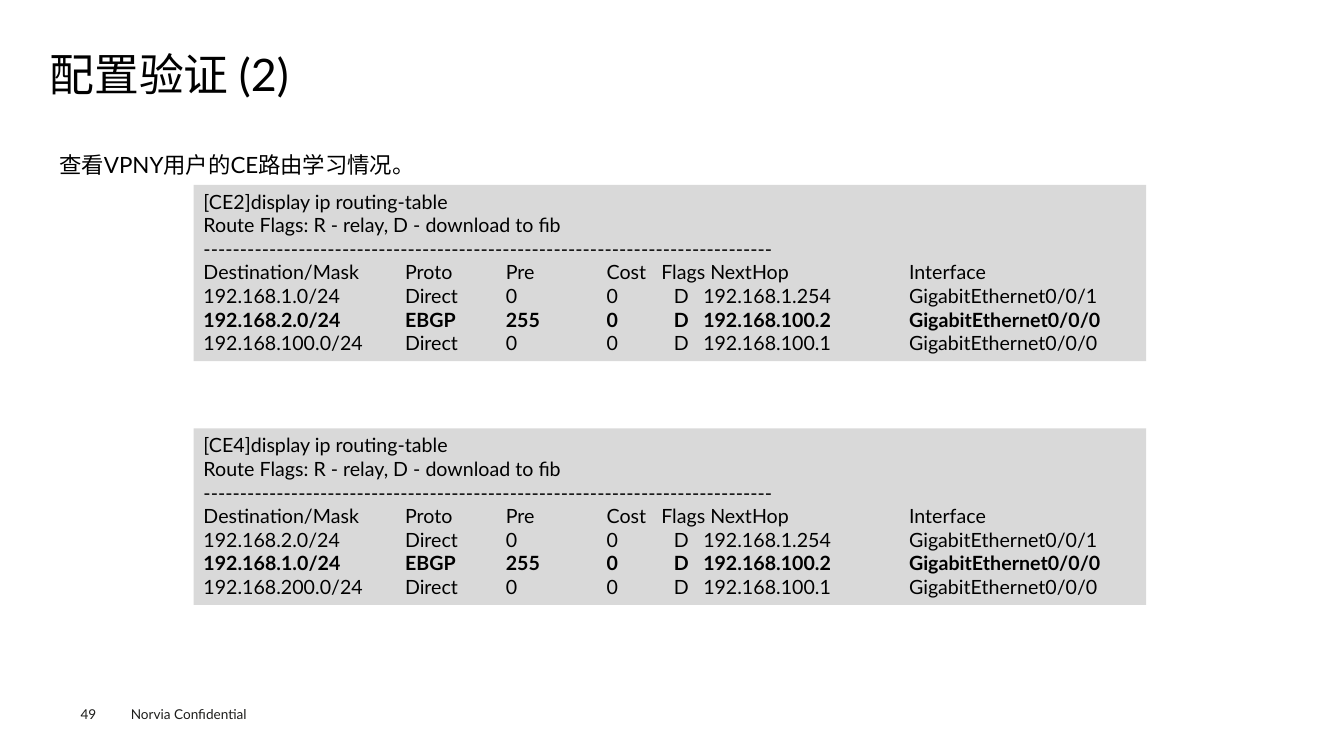
from lxml import etree
from pptx import Presentation
from pptx import util as u
from pptx.dml import color
from pptx.enum import shapes, text
from pptx.oxml import ns

COLORS = {"ink": "000000", "panel": "D9D9D9", "footer": "1D1D1B"}
HEADER_TABS = (144, 216, 288, 327, 504)
ROUTE_TABS = (144, 216, 288, 336, 357, 504)
HEADER = ("Destination/Mask", "Proto", "Pre", "Cost", "Flags NextHop", "Interface")


class RouteSlide:
    """Draws text and routing-table panels on one page in a shared style."""

    def __init__(self, page, font="Lato"):
        self.page = page
        self.font = font

    def style(self, para, size, ink, bold=False):
        for span in para.runs:
            span.font.name = self.font
            span.font.size = u.Pt(size)
            span.font.bold = bold
            span.font.color.rgb = color.RGBColor.from_string(COLORS[ink])

    def label(self, words, left, top, width, height, size, ink="ink",
              spacing=1.0, inset=(7.2, 3.6), anchor=text.MSO_ANCHOR.TOP):
        box = self.page.shapes.add_textbox(u.Pt(left), u.Pt(top), u.Pt(width), u.Pt(height))
        frame = box.text_frame
        frame.word_wrap = True
        frame.vertical_anchor = anchor
        frame.margin_left = frame.margin_right = u.Pt(inset[0])
        frame.margin_top = frame.margin_bottom = u.Pt(inset[1])
        para = frame.paragraphs[0]
        para.text = words
        para.line_spacing = spacing
        self.style(para, size, ink)

    def tab_stops(self, para, stops):
        properties = para._p.get_or_add_pPr()
        tabs = etree.SubElement(properties, ns.qn("a:tabLst"))
        for stop in stops:
            etree.SubElement(tabs, ns.qn("a:tab"), pos=str(u.Pt(stop)), algn="l")

    def routing_table(self, router, top, routes):
        panel = self.page.shapes.add_shape(
            shapes.MSO_SHAPE.RECTANGLE, u.Pt(138.24), u.Pt(top), u.Pt(680.4), u.Pt(126))
        panel.shadow.inherit = False
        panel.fill.solid()
        panel.fill.fore_color.rgb = color.RGBColor.from_string(COLORS["panel"])
        panel.line.fill.background()
        frame = panel.text_frame
        frame.word_wrap = True
        frame.vertical_anchor = text.MSO_ANCHOR.TOP
        intro = [f"[{router}]display ip routing-table",
                 "Route Flags: R - relay, D - download to fib", "-" * 78]
        rows = [(line,) for line in intro] + [HEADER] + routes
        frame.text = "\n".join("\t".join(row) for row in rows)
        for row, para in zip(rows, frame.paragraphs):
            para.alignment = text.PP_ALIGN.LEFT
            if len(row) > 1:
                self.tab_stops(para, HEADER_TABS if row is HEADER else ROUTE_TABS)
            self.style(para, 14, "ink", bold="EBGP" in row)


def routes(local, remote, backbone):
    return [
        (local, "Direct", "0", "0", "D", "192.168.1.254", "GigabitEthernet0/0/1"),
        (remote, "EBGP", "255", "0", "D", "192.168.100.2", "GigabitEthernet0/0/0"),
        (backbone, "Direct", "0", "0", "D", "192.168.100.1", "GigabitEthernet0/0/0"),
    ]


def main():
    deck = Presentation()
    deck.slide_width, deck.slide_height = u.Pt(960), u.Pt(540)
    slide = RouteSlide(deck.slides.add_slide(deck.slide_layouts[6]))
    middle = text.MSO_ANCHOR.MIDDLE
    slide.label("Norvia Confidential", 86.4, 500.4, 115.2, 19.44, 9.7, "footer")
    slide.label("49", 57.6, 504, 39.6, 11.52, 9.7, "footer", inset=(0, 0), anchor=middle)
    slide.label("配置验证 (2)", 35.28, 35.28, 889.2, 38.88, 32,
                spacing=0.9, inset=(0, 0), anchor=middle)
    slide.label("查看VPNY用户的CE路由学习情况。", 35.28, 95.04, 468, 36, 16, spacing=1.5)
    slide.routing_table("CE2", 132, routes("192.168.1.0/24", "192.168.2.0/24", "192.168.100.0/24"))
    slide.routing_table("CE4", 306, routes("192.168.2.0/24", "192.168.1.0/24", "192.168.200.0/24"))
    deck.save("out.pptx")


if __name__ == "__main__":
    main()
